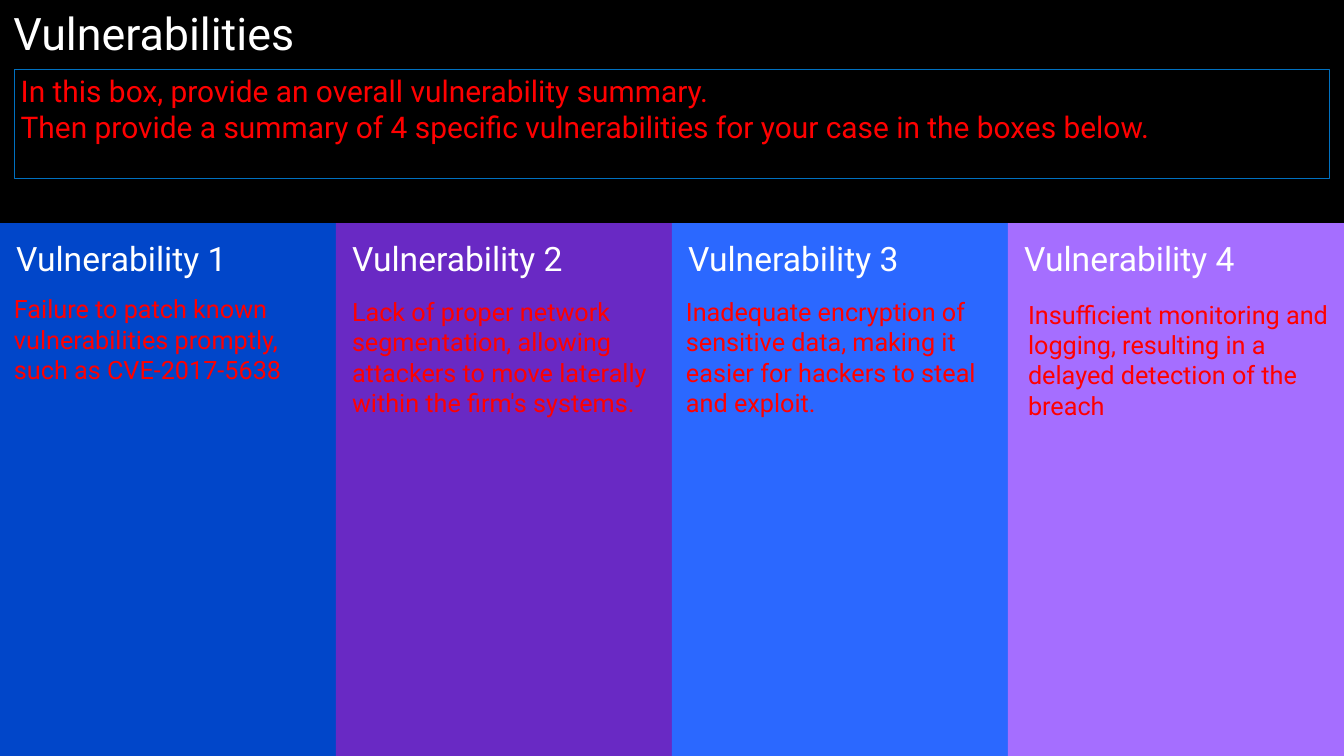
from pptx import Presentation
from pptx import util as u
from pptx.dml.color import RGBColor
from pptx.enum import shapes, text

COLORS = {"background": "000000", "heading": "FFFFFF", "prompt": "FF0000",
          "outline": "0070C0"}
FONT = "Roboto"
WIDTH, HEIGHT = 20, 11.25

TITLE = "Vulnerabilities"
SUMMARY = [
    "In this box, provide an overall vulnerability summary.",
    "Then provide a summary of 4 specific vulnerabilities for your case in the boxes below.",
]
# heading, panel colour, finding, finding's offset in its column (left, top)
VULNERABILITIES = [
    ("Vulnerability 1", "0146C9",
     "Failure to patch known vulnerabilities promptly, such as CVE-2017-5638",
     (0.11, 1.0)),
    ("Vulnerability 2", "6929C4",
     "Lack of proper network segmentation, allowing attackers to move laterally "
     "within the firm's systems.", (0.14, 1.04)),
    ("Vulnerability 3", "2B68FF",
     "Inadequate encryption of sensitive data, making it easier for hackers to "
     "steal and exploit.", (0.11, 1.04)),
    ("Vulnerability 4", "A56EFF",
     "Insufficient monitoring and logging, resulting in a delayed detection of "
     "the breach", (0.2, 1.08)),
]

PANEL_TOP = 3.32
COLUMN = WIDTH / len(VULNERABILITIES)
FINDING_WIDTH, FINDING_HEIGHT = 4.7, 1.92
DEFAULT_INSETS = (0.1, 0.05, 0.1, 0.05)


def rgb(value):
    return RGBColor.from_string(value)


def write(shape, lines, size, color, insets=DEFAULT_INSETS, spacing=None):
    """Fill a shape with top-left text, one paragraph a line."""
    frame = shape.text_frame
    frame.word_wrap = True
    frame.vertical_anchor = text.MSO_ANCHOR.TOP
    (frame.margin_left, frame.margin_top,
     frame.margin_right, frame.margin_bottom) = map(u.Inches, insets)
    frame.text = "\n".join(lines)
    for paragraph in frame.paragraphs:
        paragraph.alignment = text.PP_ALIGN.LEFT
        paragraph.line_spacing = spacing
        paragraph.font.name = FONT
        paragraph.font.size = u.Pt(size)
        paragraph.font.color.rgb = rgb(COLORS[color])


def add_box(slide, *place):
    return slide.shapes.add_textbox(*map(u.Inches, place))


def add_panel(slide, *place, fill=None, line=None):
    panel = slide.shapes.add_shape(shapes.MSO_SHAPE.RECTANGLE, *map(u.Inches, place))
    panel.shadow.inherit = False
    if fill:
        panel.fill.solid()
        panel.fill.fore_color.rgb = rgb(fill)
    else:
        panel.fill.background()
    if line:
        panel.line.color.rgb = rgb(line)
        panel.line.width = u.Pt(0.75)
    else:
        panel.line.fill.background()
    return panel


def main():
    deck = Presentation()
    deck.slide_width, deck.slide_height = u.Inches(WIDTH), u.Inches(HEIGHT)
    slide = deck.slides.add_slide(deck.slide_layouts[6])
    slide.background.fill.solid()
    slide.background.fill.fore_color.rgb = rgb(COLORS["background"])

    write(add_box(slide, 0, 0, WIDTH, 3.11), [TITLE], 48, "heading",
          (0.2, 0.18, 0.25, 0.25), 0.9)

    for column, (heading, fill, _, _) in enumerate(VULNERABILITIES):
        panel = add_panel(slide, column * COLUMN, PANEL_TOP, COLUMN,
                          HEIGHT - PANEL_TOP, fill=fill)
        write(panel, [heading], 36, "heading", (0.24, 0.22, 0.25, 0.25))

    summary = add_panel(slide, 0.21, 1.03, 19.57, 1.63, line=COLORS["outline"])
    write(summary, SUMMARY, 32, "prompt")

    for column, (_, _, finding, (left, top)) in enumerate(VULNERABILITIES):
        box = add_box(slide, column * COLUMN + left, PANEL_TOP + top,
                      FINDING_WIDTH, FINDING_HEIGHT)
        write(box, [finding], 27, "prompt")

    deck.save("out.pptx")


if __name__ == "__main__":
    main()
